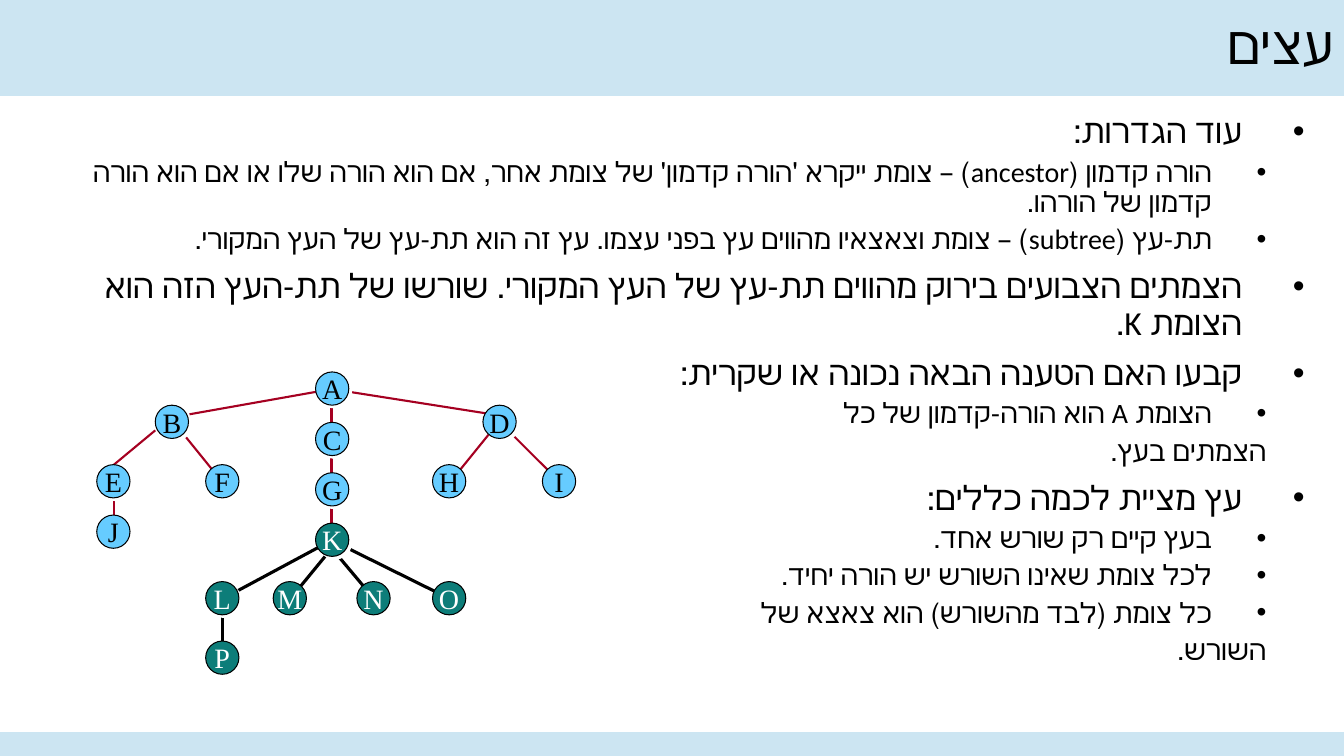
from lxml import etree
from pptx import Presentation
from pptx.dml.color import RGBColor
from pptx.enum.lang import MSO_LANGUAGE_ID
from pptx.enum.shapes import MSO_CONNECTOR, MSO_SHAPE
from pptx.enum.text import MSO_ANCHOR, MSO_AUTO_SIZE, PP_ALIGN
from pptx.oxml import parse_xml
from pptx.oxml.ns import qn
from pptx.util import Inches, Pt

RECT, OVAL = MSO_SHAPE.RECTANGLE, MSO_SHAPE.OVAL
STRAIGHT = MSO_CONNECTOR.STRAIGHT
TOP, MIDDLE = MSO_ANCHOR.TOP, MSO_ANCHOR.MIDDLE
RIGHT, CENTER = PP_ALIGN.RIGHT, PP_ALIGN.CENTER
NO_FIT = MSO_AUTO_SIZE.NONE
HEBREW = MSO_LANGUAGE_ID.HEBREW

COLORS = {"band": "CCE5F2", "black": "000000", "white": "FFFFFF",
          "edge": "A50021", "node": "66CCFF", "subtree": "0D7D79"}
NODE_SIZE = 0.33
SHADOW = (
    '<a:effectLst xmlns:a="http://schemas.openxmlformats.org/drawingml/2006/main">'
    '<a:outerShdw dist="35921" dir="2700000" algn="ctr" rotWithShape="0">'
    '<a:srgbClr val="%s"/></a:outerShdw></a:effectLst>' % COLORS["white"])

# level, bulleted, text
BODY = [
    (0, True, "עוד הגדרות:"),
    (1, True, "הורה קדמון (ancestor) – צומת ייקרא 'הורה קדמון' של צומת אחר, "
              "אם הוא הורה שלו או אם הוא הורה קדמון של הורהו."),
    (1, True, "תת-עץ (subtree) – צומת וצאצאיו מהווים עץ בפני עצמו. "
              "עץ זה הוא תת-עץ של העץ המקורי."),
    (0, True, "הצמתים הצבועים בירוק מהווים תת-עץ של העץ המקורי. "
              "שורשו של תת-העץ הזה הוא הצומת K."),
    (0, True, "קבעו האם הטענה הבאה נכונה או שקרית:"),
    (1, True, "הצומת A הוא הורה-קדמון של כל"),
    (1, False, "הצמתים בעץ."),
    (0, True, "עץ מציית לכמה כללים:"),
    (1, True, "בעץ קיים רק שורש אחד."),
    (1, True, "לכל צומת שאינו השורש יש הורה יחיד."),
    (1, True, "כל צומת (לבד מהשורש) הוא צאצא של"),
    (1, False, "השורש."),
]
# margin, hanging indent, size, space before
LEVELS = [(0.62, -0.62, 24, 10), (0.92, -0.54, 20, 5)]

# colour, width, start and end points
EDGES = [
    ("edge", 1.5, [(3.29, 3.86, 1.88, 4.11), (1.54, 4.27, 1.13, 4.61),
                   (1.79, 4.27, 2.13, 4.69), (1.13, 4.94, 1.13, 5.19),
                   (4.88, 4.27, 4.54, 4.69), (5.04, 4.27, 5.46, 4.69),
                   (3.29, 3.86, 4.88, 4.11)]),
    ("edge", 2.25, [(3.29, 3.94, 3.29, 5.36)]),
    ("black", 2.25, [(3.29, 5.36, 2.21, 5.94), (3.29, 5.36, 4.46, 5.94),
                     (3.29, 5.44, 2.88, 5.94), (3.29, 5.44, 3.71, 5.94),
                     (2.21, 5.94, 2.21, 6.44)]),
]
# fill, text colour, top of row, left of each node
NODE_ROWS = [
    ("node", "black", 3.69, {"A": 3.13}),
    ("node", "black", 4.02, {"B": 1.54, "D": 4.79}),
    ("node", "black", 4.19, {"C": 3.13}),
    ("node", "black", 4.61, {"E": 0.96, "F": 2.04, "H": 4.29, "I": 5.38}),
    ("node", "black", 4.69, {"G": 3.13}),
    ("node", "black", 5.11, {"J": 0.96}),
    ("subtree", "white", 5.19, {"K": 3.13}),
    ("subtree", "white", 5.77, {"L": 2.04, "M": 2.71, "N": 3.54, "O": 4.29}),
    ("subtree", "white", 6.36, {"P": 2.04}),
]


def rgb(name):
    """Return the named colour."""
    return RGBColor.from_string(COLORS[name])


def add_run(p, text, size, font="Calibri", color="black"):
    """Add a formatted run."""
    r = p.add_run()
    r.text = text
    r.font.size = Pt(size)
    r.font.name = font
    r.font.color.rgb = rgb(color)
    return r


def format_rtl(p):
    """Set a paragraph right to left with tight lines."""
    p.alignment = RIGHT
    p.line_spacing = 0.9
    p.space_before = Pt(0)
    pPr = p._p.get_or_add_pPr()
    pPr.set("rtl", "1")
    return pPr


def place(sp, left, top, width, height, anchor):
    """Move a placeholder and return its text frame."""
    sp.left, sp.top = Inches(left), Inches(top)
    sp.width, sp.height = Inches(width), Inches(height)
    tf = sp.text_frame
    tf.auto_size = NO_FIT
    tf.vertical_anchor = anchor
    return tf


def add_shape(shapes, kind, left, top, width, height, fill, line, weight):
    """Add a filled, outlined shape without a shadow."""
    sp = shapes.add_shape(kind, Inches(left), Inches(top), Inches(width), Inches(height))
    sp.shadow.inherit = False
    sp.fill.solid()
    sp.fill.fore_color.rgb = rgb(fill)
    sp.line.color.rgb = rgb(line)
    sp.line.width = Pt(weight)
    return sp


def add_body(sp):
    """Fill the body placeholder with the two-level list."""
    tf = place(sp, 0.31, 1.09, 12.73, 6.01, TOP)
    for i, (level, bulleted, text) in enumerate(BODY):
        p = tf.add_paragraph() if i else tf.paragraphs[0]
        margin, indent, size, before = LEVELS[level]
        p.level = level
        pPr = format_rtl(p)
        if i:
            p.space_before = Pt(before)
        pPr.set("marL", str(Inches(margin)))
        pPr.set("indent", str(Inches(indent)))
        if bulleted:
            etree.SubElement(pPr, qn("a:buFont"), typeface="Arial")
            etree.SubElement(pPr, qn("a:buChar"), char="•")
        else:
            etree.SubElement(pPr, qn("a:buNone"))
        add_run(p, text, size).font.language_id = HEBREW


def add_edge(shapes, points, color, weight):
    """Add a straight tree edge."""
    cn = shapes.add_connector(STRAIGHT, *[Inches(v) for v in points])
    cn.line.color.rgb = rgb(color)
    cn.line.width = Pt(weight)
    etree.SubElement(cn._element.spPr, qn("a:effectLst"))


def add_node(shapes, label, left, top, fill, color):
    """Add a lettered tree node with a white shadow over the edges."""
    sp = add_shape(shapes, OVAL, left, top, NODE_SIZE, NODE_SIZE, fill, "black", 0.75)
    effects = sp._element.spPr.find(qn("a:effectLst"))
    effects.getparent().replace(effects, parse_xml(SHADOW))
    tf = sp.text_frame
    tf.word_wrap = False
    tf.vertical_anchor = MIDDLE
    tf.margin_left = tf.margin_right = tf.margin_top = tf.margin_bottom = 0
    tf.paragraphs[0].alignment = CENTER
    add_run(tf.paragraphs[0], label, 20, "Times New Roman", color)


def main():
    """Build the slide."""
    prs = Presentation()
    prs.slide_width, prs.slide_height = Inches(13.33), Inches(7.5)
    s = prs.slides.add_slide(prs.slide_layouts[1])
    title, body = s.shapes.title, s.placeholders[1]

    for top, height in [(0, 0.95), (7.27, 0.23)]:
        band = add_shape(s.shapes, RECT, 0, top, 13.33, height, "band", "band", 1)
        title.element.addprevious(band.element)

    tf = place(title, 1.13, -0.01, 12.2, 0.95, MIDDLE)
    format_rtl(tf.paragraphs[0])
    add_run(tf.paragraphs[0], "עצים", 38).font.language_id = HEBREW
    add_body(body)

    tree = s.shapes.add_group_shape().shapes
    for color, weight, lines in EDGES:
        for points in lines:
            add_edge(tree, points, color, weight)
    for fill, color, top, nodes in NODE_ROWS:
        for label, left in nodes.items():
            add_node(tree, label, left, top, fill, color)

    prs.save("out.pptx")


if __name__ == "__main__":
    main()
